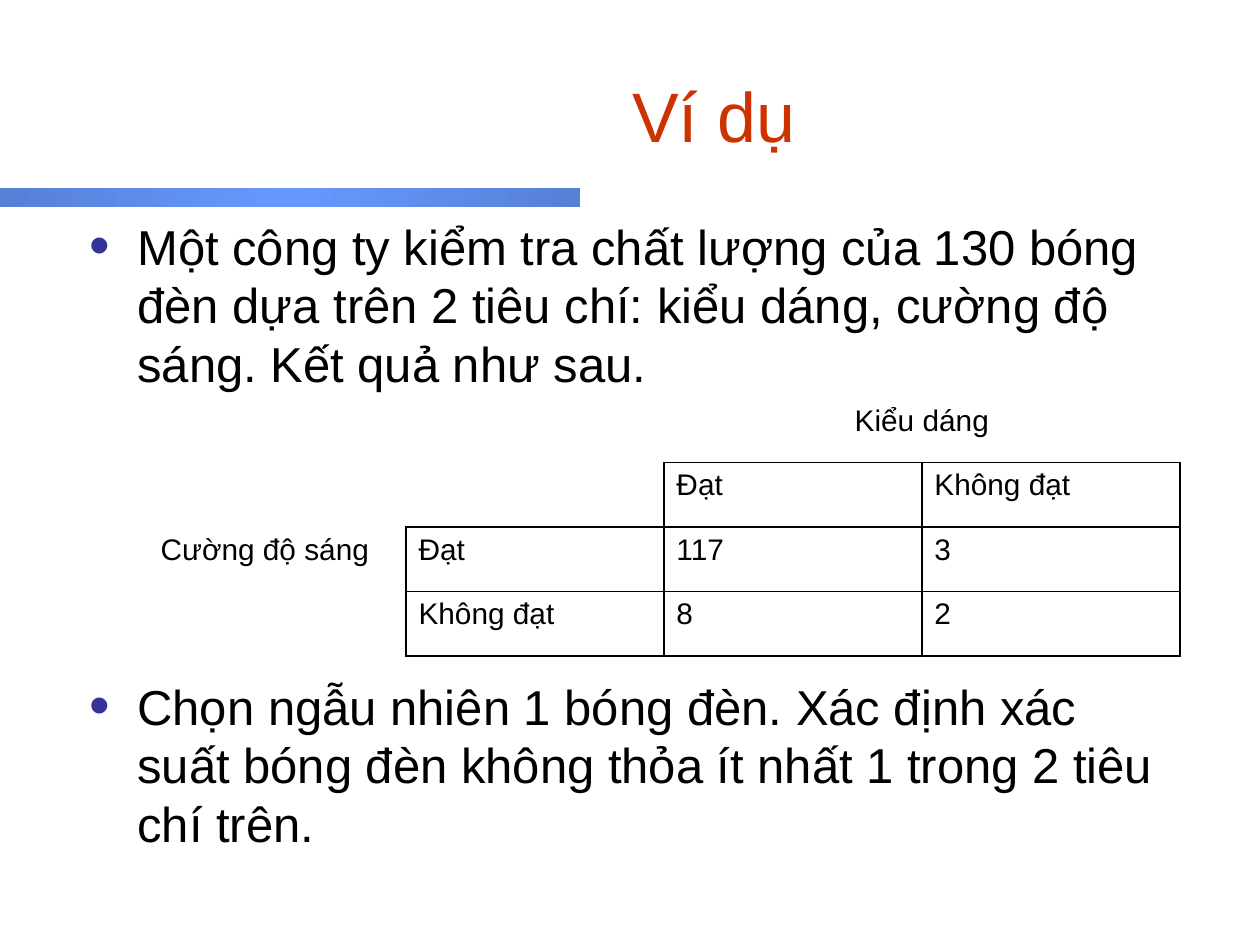
"""Build a slide with a light bulb quality table between two bullet points."""
from copy import deepcopy

from lxml import etree
from pptx import Presentation
from pptx import util as u
from pptx.dml.color import RGBColor
from pptx.enum import shapes, text
from pptx.oxml import ns

SCALE = u.Inches(1) / 126
BLACK = RGBColor(0x00, 0x00, 0x00)
RED = RGBColor(0xCC, 0x33, 0x00)
BLUE = RGBColor(0x66, 0x99, 0xFF)
DARK_BLUE = RGBColor(0x56, 0x80, 0xD6)
BULLET_COLOUR = "333399"
NO_STYLE = "{2D5ABB26-0587-4C30-8999-92F81FD0307C}"


def px(*lengths):
    return [round(length * SCALE) for length in lengths]


def write(para, words, size=28, colour=BLACK, align=text.PP_ALIGN.LEFT):
    para.alignment = align
    span = para.add_run()
    span.text = words
    span.font.name = "Arial"
    span.font.size = u.Pt(size)
    span.font.color.rgb = colour


deck = Presentation()
deck.slide_width, deck.slide_height = px(1260, 945)
page = deck.slides.add_slide(deck.slide_layouts[5])

band = page.shapes.add_shape(shapes.MSO_SHAPE.RECTANGLE, *px(0, 188, 580, 19))
band.shadow.inherit = False
band.line.fill.background()
band.fill.gradient()
band.fill.gradient_angle = 0
stop_list = band._element.spPr.find(".//" + ns.qn("a:gsLst"))
stop_list.append(deepcopy(stop_list[0]))
for stop, position, colour in zip(band.fill.gradient_stops, (0, 0.5, 1), (DARK_BLUE, BLUE, DARK_BLUE)):
    stop.position = position
    stop.color.rgb = colour

title = page.shapes.title
title.left, title.top, title.width, title.height = px(193, 35, 1042, 158)
title.text_frame.vertical_anchor = text.MSO_ANCHOR.MIDDLE
write(title.text_frame.paragraphs[0], "Ví dụ", size=40, colour=RED, align=text.PP_ALIGN.CENTER)

body = page.shapes.add_textbox(*px(77, 210, 1103, 694))
frame = body.text_frame
frame.word_wrap = True
bullets = [
    ("Một công ty kiểm tra chất lượng của 130 bóng đèn dựa trên 2 tiêu chí: "
     "kiểu dáng, cường độ sáng. Kết quả như sau.", 5),
    ("Chọn ngẫu nhiên 1 bóng đèn. Xác định xác suất bóng đèn không thỏa "
     "ít nhất 1 trong 2 tiêu chí trên.", 162),
]
indent = px(48)[0]
for index, (words, space) in enumerate(bullets):
    para = frame.add_paragraph() if index else frame.paragraphs[0]
    write(para, words)
    para.space_before = u.Pt(space)
    props = para._p.get_or_add_pPr()
    props.set("marL", str(indent))
    props.set("indent", str(-indent))
    colour = etree.SubElement(props, ns.qn("a:buClr"))
    etree.SubElement(colour, ns.qn("a:srgbClr"), val=BULLET_COLOUR)
    etree.SubElement(props, ns.qn("a:buSzPct"), val="120000")
    etree.SubElement(props, ns.qn("a:buFont"), typeface="Arial")
    etree.SubElement(props, ns.qn("a:buChar"), char="•")

rows = [
    ["", "", "Kiểu dáng", ""],
    ["", "", "Đạt", "Không đạt"],
    ["Cường độ sáng", "Đạt", "117", "3"],
    ["", "Không đạt", "8", "2"],
]
boxed = {(1, 2), (1, 3), (2, 1), (2, 2), (2, 3), (3, 1), (3, 2), (3, 3)}
sides = {"lnL": (0, -1), "lnR": (0, 1), "lnT": (-1, 0), "lnB": (1, 0)}
holder = page.shapes.add_table(4, 4, *px(148, 398, 1032, 258))
table = holder.table
table.first_row = table.horz_banding = False
table._tbl.tblPr.find(ns.qn("a:tableStyleId")).text = NO_STYLE
table.cell(0, 2).merge(table.cell(0, 3))
table.cell(2, 0).merge(table.cell(3, 0))
for r, row in enumerate(rows):
    for c, words in enumerate(row):
        cell = table.cell(r, c)
        props = cell._tc.get_or_add_tcPr()
        for side, (down, right) in sides.items():
            if (r, c) in boxed or (r + down, c + right) in boxed:
                edge = etree.SubElement(props, ns.qn("a:" + side), w=str(u.Pt(1)))
                paint = etree.SubElement(edge, ns.qn("a:solidFill"))
                etree.SubElement(paint, ns.qn("a:srgbClr"), val=str(BLACK))
        cell.fill.background()
        if words:
            align = text.PP_ALIGN.LEFT if r else text.PP_ALIGN.CENTER
            write(cell.text_frame.paragraphs[0], words, size=17, align=align)

deck.save("out.pptx")
